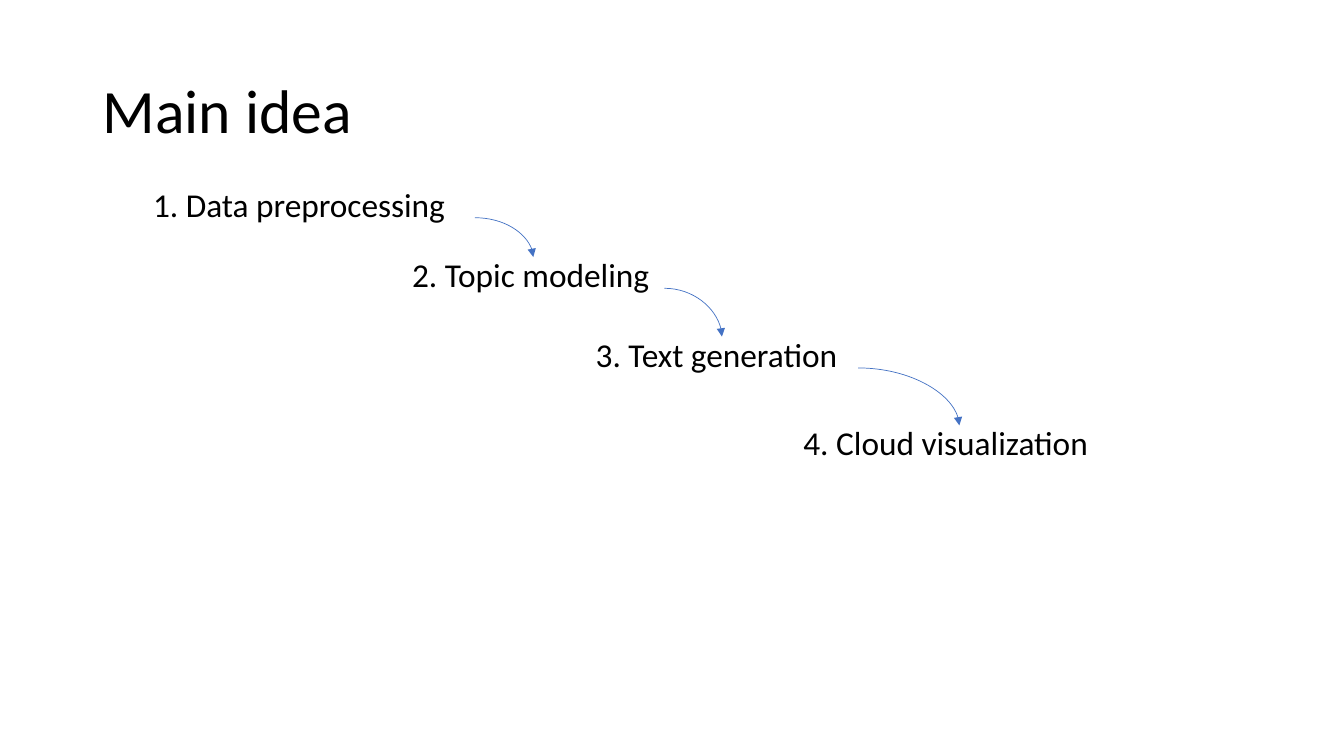
"""Build the "Main idea" slide: four steps descending along curved arrows."""
from lxml.etree import SubElement
from pptx import Presentation
from pptx.dml.color import RGBColor
from pptx.enum.shapes import MSO_CONNECTOR
from pptx.enum.text import MSO_ANCHOR
from pptx.oxml.ns import qn
from pptx.util import Inches, Pt

deck = Presentation()
deck.slide_width, deck.slide_height = Inches(13.33), Inches(7.5)
col, row = deck.slide_width / 100, deck.slide_height / 100
slide = deck.slides.add_slide(deck.slide_layouts[6])


def paint(color, code):
    color.rgb = RGBColor.from_string(code)


def write(text, left, top, width, height, size, space):
    box = slide.shapes.add_textbox(
        int(left * col), int(top * row), int(width * col), int(height * row))
    frame = box.text_frame
    frame.word_wrap = True
    frame.text = text
    line = frame.paragraphs[0]
    line.line_spacing = space
    font = line.runs[0].font
    font.name, font.size = "Calibri", Pt(size)
    paint(font.color, "000000")
    return box


title = write("Main idea", 6.9, 5.33, 86.25, 19.33, 44, 0.9)
title.text_frame.vertical_anchor = MSO_ANCHOR.MIDDLE

steps = [
    ("1. Data preprocessing", 10.65, 24.67, 24.68),
    ("2. Topic modeling", 29.93, 34, 19.5),
    ("3. Text generation", 43.59, 44.53, 20.25),
    ("4. Cloud visualization", 59.04, 56.27, 24.68),
]
boxes = []
for text, left, top, width in steps:
    box = write(text, left, top, width, 8.27, 23.8, 0.8)
    box.text_frame.paragraphs[0].space_before = Pt(10)
    boxes.append(box)

for prev, step in zip(boxes, boxes[1:]):
    arrow = slide.shapes.add_connector(
        MSO_CONNECTOR.CURVE,
        prev.left + prev.width, prev.top + prev.height // 2,
        step.left + step.width // 2, step.top)
    arrow.line.width = Pt(0.5)
    paint(arrow.line.color, "4472C4")
    props = arrow._element.spPr
    props.find(qn("a:prstGeom")).set("prst", "curvedConnector2")
    SubElement(props.find(qn("a:ln")), qn("a:tailEnd"), type="triangle")
    SubElement(props, qn("a:effectLst"))

deck.save("out.pptx")
